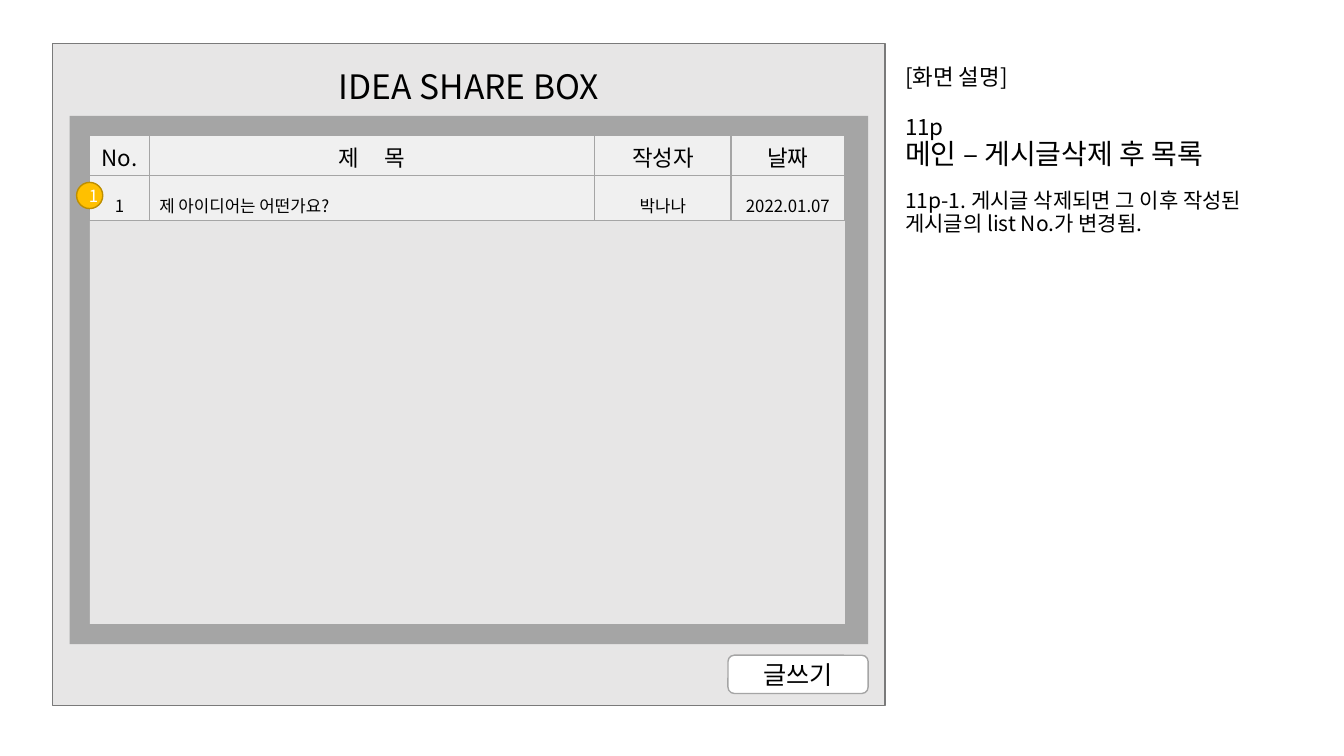
from lxml.etree import SubElement
from pptx import Presentation
from pptx.dml.color import RGBColor
from pptx.enum.shapes import MSO_SHAPE
from pptx.enum.text import MSO_ANCHOR, PP_ALIGN
from pptx.oxml import parse_xml
from pptx.oxml.ns import nsdecls, qn
from pptx.util import Inches, Pt

FONT = "Noto Sans CJK KR"
BLACK, WHITE = "000000", "FFFFFF"
PANEL, FRAME, CELL = "E7E6E6", "A5A5A5", "F0F0F0"
COLUMN_WIDTHS = [0.59, 4.42, 1.35, 1.13]


def color(value):
    return RGBColor.from_string(value)


class ScreenSlide:
    def __init__(self, presentation):
        self.slide = presentation.slides.add_slide(presentation.slide_layouts[6])
        self.shapes = self.slide.shapes

    def format_paragraph(self, paragraph, size, font_color=BLACK, align=PP_ALIGN.LEFT,
                         line_spacing=None, before=0):
        paragraph.alignment = align
        paragraph.space_before = Pt(before)
        if line_spacing:
            paragraph.line_spacing = line_spacing
        for run in paragraph.runs:
            run.font.size = Pt(size)
            run.font.bold = False
            run.font.name = FONT
            run.font.color.rgb = color(font_color)
            properties = run.font._element
            if properties.find(qn("a:ea")) is None:
                SubElement(properties, qn("a:ea"), typeface=FONT)

    def box(self, kind, bounds, fill, line=None, text="", size=12, font_color=BLACK):
        shape = self.shapes.add_shape(kind, *map(Inches, bounds))
        shape.shadow.inherit = False
        shape.fill.solid()
        shape.fill.fore_color.rgb = color(fill)
        if line:
            shape.line.color.rgb = color(line)
            shape.line.width = Pt(1)
        else:
            shape.line.fill.background()
        if text:
            shape.text_frame.text = text
            shape.text_frame.vertical_anchor = MSO_ANCHOR.MIDDLE
            self.format_paragraph(shape.text_frame.paragraphs[0], size, font_color,
                                  PP_ALIGN.CENTER)

    def text(self, bounds, lines, anchor=MSO_ANCHOR.TOP):
        frame = self.shapes.add_textbox(*map(Inches, bounds)).text_frame
        frame.word_wrap = True
        frame.vertical_anchor = anchor
        frame.text = "\n".join(text for text, _ in lines)
        for paragraph, (_, style) in zip(frame.paragraphs, lines):
            self.format_paragraph(paragraph, **style)

    def border(self, cell):
        properties = cell._tc.get_or_add_tcPr()
        for index, side in enumerate(["lnL", "lnR", "lnT", "lnB"]):
            properties.insert(index, parse_xml(
                f'<a:{side} {nsdecls("a")} w="12700"><a:solidFill>'
                f'<a:srgbClr val="{FRAME}"/></a:solidFill></a:{side}>'))

    def table_row(self, top, height, texts, size, aligns, line_spacing=None):
        bounds = (0.89, top, sum(COLUMN_WIDTHS), height)
        table = self.shapes.add_table(1, len(texts), *map(Inches, bounds)).table
        for column, width in zip(table.columns, COLUMN_WIDTHS):
            column.width = Inches(width)
        for cell, text, align in zip(table.rows[0].cells, texts, aligns):
            cell.fill.solid()
            cell.fill.fore_color.rgb = color(CELL)
            self.border(cell)
            paragraph = cell.text_frame.paragraphs[0]
            paragraph.text = text
            self.format_paragraph(paragraph, size, BLACK, align, line_spacing)
        return table

    def widen_gap(self, paragraph, size, spacing):
        first = paragraph.runs[0]
        start, end = first.text.split(" ")
        first.text = start + " "
        first.font._element.set("spc", str(spacing))
        paragraph.add_run().text = end
        self.format_paragraph(paragraph, size, align=PP_ALIGN.CENTER)


def main():
    presentation = Presentation()
    presentation.slide_width = Inches(13.33)
    presentation.slide_height = Inches(7.5)
    screen = ScreenSlide(presentation)
    center, left = PP_ALIGN.CENTER, PP_ALIGN.LEFT

    screen.box(MSO_SHAPE.RECTANGLE, (0.52, 0.43, 8.26, 6.57), PANEL, "7A7A7A")
    screen.text((1.47, 0.63, 6.36, 0.44),
                [("IDEA SHARE BOX", {"size": 24, "align": center})], MSO_ANCHOR.MIDDLE)
    screen.box(MSO_SHAPE.RECTANGLE, (0.69, 1.15, 7.92, 5.24), FRAME)
    screen.box(MSO_SHAPE.ROUNDED_RECTANGLE, (7.22, 6.5, 1.39, 0.38), WHITE, FRAME,
               "글쓰기", 18)

    header = screen.table_row(1.34, 0.4, ["No.", "제 목", "작성자", "날짜"], 16, [center] * 4)
    screen.widen_gap(header.cell(0, 1).text_frame.paragraphs[0], 16, 720)
    screen.box(MSO_SHAPE.RECTANGLE, (0.89, 1.74, 7.49, 4.45), PANEL)
    screen.table_row(1.74, 0.45, ["1", "제 아이디어는 어떤가요?", "박나나", "2022.01.07"], 12,
                     [center, left, center, center], 1.5)
    screen.box(MSO_SHAPE.FLOWCHART_CONNECTOR, (0.76, 1.81, 0.26, 0.26), "FFC000", "BD8E00",
               "1", 12, WHITE)

    screen.text((8.88, 0.43, 3.9, 1.31), [
        ("[화면 설명]", {"size": 16, "line_spacing": 0.9}),
        ("11p", {"size": 16, "line_spacing": 0.9, "before": 18}),
        ("메인 – 게시글삭제 후 목록", {"size": 20, "line_spacing": 0.9}),
    ], MSO_ANCHOR.BOTTOM)
    screen.text((8.88, 1.84, 3.9, 5.16), [
        ("11p-1. 게시글 삭제되면 그 이후 작성된 게시글의 list No.가 변경됨.",
         {"size": 15, "line_spacing": 0.9}),
    ])
    presentation.save("out.pptx")


if __name__ == "__main__":
    main()
